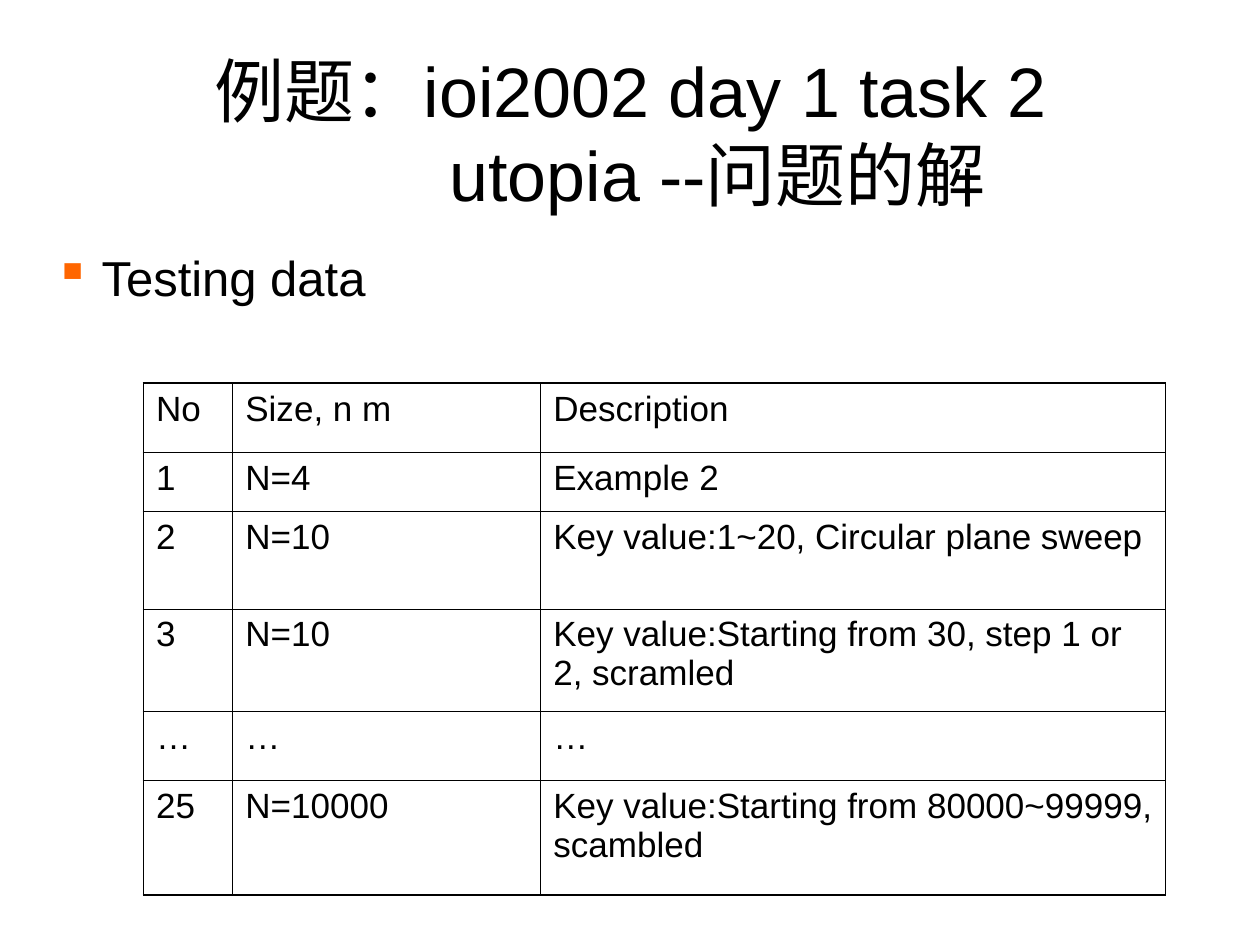
"""Build the slide on the testing data of the IOI 2002 task utopia."""
from typing import NamedTuple

from lxml import etree
from pptx import Presentation
from pptx.dml.color import RGBColor
from pptx.enum import text as t
from pptx.oxml import ns
from pptx.util import Pt

BLACK = "000000"
ORANGE = "FF6600"
OUTER, INNER = 1.08, 0.45
COLUMN_WIDTHS = (51, 176, 357)


class TestCase(NamedTuple):
    """One row of the testing data, with its height in points."""
    height: float
    number: str
    size: str
    description: str


TEST_CASES = (
    TestCase(39.5, "No", "Size, n m", "Description"),
    TestCase(34, "1", "N=4", "Example 2"),
    TestCase(55.5, "2", "N=10", "Key value:1~20, Circular plane sweep"),
    TestCase(58.5, "3", "N=10", "Key value:Starting from 30, step 1 or 2, scramled"),
    TestCase(39.5, "…", "…", "…"),
    TestCase(65.5, "25", "N=10000", "Key value:Starting from 80000~99999, scambled"),
)


def color(hex_value: str) -> RGBColor:
    """Turn a hex string into a colour."""
    return RGBColor.from_string(hex_value)


def style(paragraph, size: float, align=t.PP_ALIGN.LEFT) -> None:
    """Set the alignment and font of a paragraph."""
    paragraph.alignment = align
    paragraph.font.name = "Arial"
    paragraph.font.size = Pt(size)
    paragraph.font.color.rgb = color(BLACK)


def place(shape, left: float, top: float, width: float, height: float) -> None:
    """Position a shape, in points."""
    shape.left, shape.top = Pt(left), Pt(top)
    shape.width, shape.height = Pt(width), Pt(height)


def add_title(slide) -> None:
    """Fill the title, with its second line shifted to the right."""
    title = slide.shapes.title
    place(title, 24, 30, 672, 90)
    frame = title.text_frame
    frame.auto_size = t.MSO_AUTO_SIZE.NONE
    frame.vertical_anchor = t.MSO_ANCHOR.MIDDLE
    frame.text = "例题：ioi2002 day 1 task 2\nutopia --问题的解"
    frame.paragraphs[1]._p.get_or_add_pPr().set("marL", str(Pt(100)))
    for line in frame.paragraphs:
        style(line, 40, t.PP_ALIGN.CENTER)


def add_heading(slide) -> None:
    """Add the bulleted heading above the table."""
    frame = slide.shapes.add_textbox(Pt(24), Pt(138), Pt(330), Pt(336)).text_frame
    frame.word_wrap = True
    heading = frame.paragraphs[0]
    heading.text = "Testing data"
    properties = heading._p.get_or_add_pPr()
    properties.set("marL", str(Pt(27)))
    properties.set("indent", str(-Pt(27)))
    bullet_color = etree.SubElement(properties, ns.qn("a:buClr"))
    etree.SubElement(bullet_color, ns.qn("a:srgbClr"), val=ORANGE)
    etree.SubElement(properties, ns.qn("a:buChar"), char="▪")
    style(heading, 28)


def add_border(cell, side: str, width: float) -> None:
    """Draw one border of a cell: L, R, T or B."""
    line = etree.SubElement(
        cell._tc.get_or_add_tcPr(), ns.qn(f"a:ln{side}"), w=str(Pt(width)))
    fill = etree.SubElement(line, ns.qn("a:solidFill"))
    etree.SubElement(fill, ns.qn("a:srgbClr"), val=BLACK)


def add_test_table(slide) -> None:
    """Add the table of test cases, with a thicker outer frame."""
    last_row, last_column = len(TEST_CASES) - 1, len(COLUMN_WIDTHS) - 1
    table = slide.shapes.add_table(
        last_row + 1, last_column + 1, Pt(82), Pt(219), Pt(sum(COLUMN_WIDTHS)),
        Pt(sum(case.height for case in TEST_CASES))).table
    table.first_row = table.horz_banding = False
    for column, width in zip(table.columns, COLUMN_WIDTHS):
        column.width = Pt(width)
    for r, (height, *values) in enumerate(TEST_CASES):
        table.rows[r].height = Pt(height)
        for c, value in enumerate(values):
            cell = table.cell(r, c)
            cell.text = value
            style(cell.text_frame.paragraphs[0], 20)
            on_frame = {"L": c == 0, "R": c == last_column,
                        "T": r == 0, "B": r == last_row}
            for side, is_outer in on_frame.items():
                add_border(cell, side, OUTER if is_outer else INNER)
            cell.fill.background()


def main() -> None:
    """Create and save the presentation."""
    presentation = Presentation()
    presentation.slide_width, presentation.slide_height = Pt(720), Pt(540)
    slide = presentation.slides.add_slide(presentation.slide_layouts[5])
    add_title(slide)
    add_heading(slide)
    add_test_table(slide)
    presentation.save("out.pptx")


if __name__ == "__main__":
    main()
